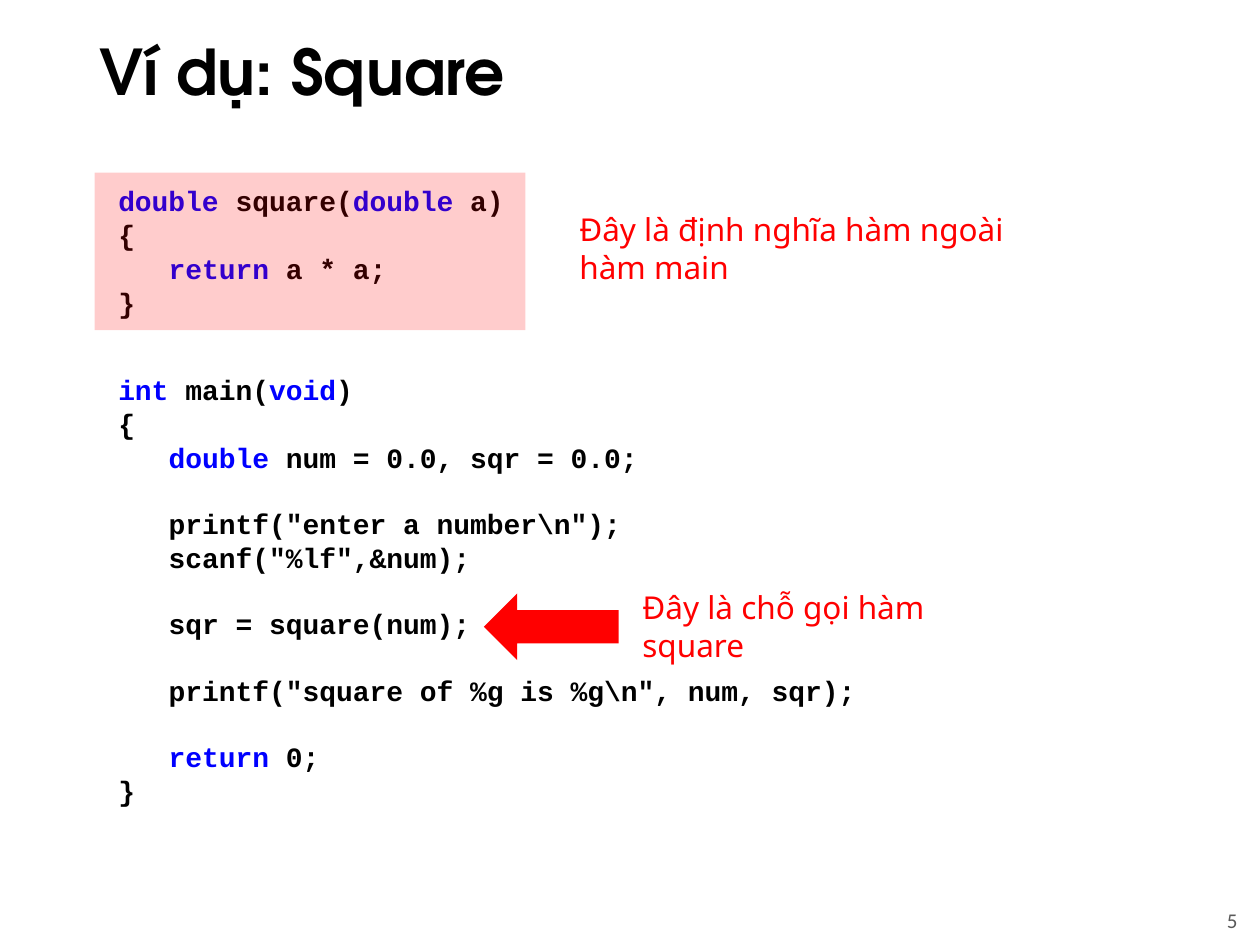
import dataclasses
import typing

import lxml.etree
import pptx
import pptx.dml.color
import pptx.enum.shapes
import pptx.enum.text
import pptx.oxml.ns
import pptx.util

Inches = pptx.util.Inches
Pt = pptx.util.Pt
Align = pptx.enum.text.PP_ALIGN
Anchor = pptx.enum.text.MSO_ANCHOR
Shape = pptx.enum.shapes.MSO_SHAPE

BLACK, BLUE, RED, GREY = "000000", "0000FF", "FF0000", "595959"
TITLE = {"name": "TeX Gyre Adventor", "size": Pt(36), "bold": True}
CODE = {"name": "Courier New", "size": Pt(16), "bold": True}
NOTE = {"name": "Noto Sans", "size": Pt(18)}
PAGE = {"name": "Calibri", "size": Pt(12)}
KEYS = {"int", "void", "double", "return"}
LEAD, SKIP = 4, 22.5  # points before a line, and after a skipped line


@dataclasses.dataclass
class Box:
    left: float
    top: float
    width: float
    height: float

    def place(self) -> list[int]:
        return [Inches(n) for n in (self.left, self.top, self.width, self.height)]


@dataclasses.dataclass
class Line:
    words: list[str]
    deep: bool = False
    skip: bool = False


def paint(item: typing.Any, color: str) -> None:
    """Give a shape or a font one solid colour."""
    fill = item.fill
    fill.solid()
    fill.fore_color.rgb = pptx.dml.color.RGBColor.from_string(color)


def style(item: typing.Any, looks: dict) -> None:
    for name, value in looks.items():
        setattr(item, name, value)


def add_run(para: typing.Any, text: str, looks: dict, color: str) -> None:
    run = para.add_run()
    run.text = text
    style(run.font, looks)
    paint(run.font, color)


def add_box(shapes: typing.Any, box: Box) -> typing.Any:
    frame = shapes.add_textbox(*box.place()).text_frame
    frame.word_wrap = True
    return frame


def add_text(shapes: typing.Any, box: Box, text: str, looks: dict, color: str) -> typing.Any:
    frame = add_box(shapes, box)
    add_run(frame.paragraphs[0], text, looks, color)
    return frame


def add_code(shapes: typing.Any, box: Box, lines: list[Line]) -> None:
    frame = add_box(shapes, box)
    for row, line in enumerate(lines):
        para = frame.add_paragraph() if row else frame.paragraphs[0]
        before = SKIP if line.skip else LEAD if row else 0
        style(para, {"line_spacing": 0.8, "space_before": Pt(before)})
        if line.deep:
            para._p.get_or_add_pPr().set("marL", str(Inches(0.4)))
        for word in line.words:
            add_run(para, word, CODE, BLUE if word.strip() in KEYS else BLACK)


def add_form(shapes: typing.Any, kind: Shape, box: Box, color: str) -> typing.Any:
    form = shapes.add_shape(kind, *box.place())
    form.shadow.inherit = False
    paint(form, color)
    form.line.fill.background()
    return form


deck = pptx.Presentation()
style(deck, {"slide_width": Inches(10), "slide_height": Inches(7.5)})
slide = deck.slides.add_slide(deck.slide_layouts[5])
shapes = slide.shapes

# Title
title = shapes.title
style(title, dict(zip(("left", "top", "width", "height"), Box(0.69, 0.16, 8.62, 0.87).place())))
style(title.text_frame, {"vertical_anchor": Anchor.MIDDLE, "word_wrap": True,
                         "auto_size": pptx.enum.text.MSO_AUTO_SIZE.NONE})
head = title.text_frame.paragraphs[0]
style(head, {"alignment": Align.LEFT, "line_spacing": 0.9})
add_run(head, "Ví dụ: Square", TITLE, BLACK)

# Page number
page = add_text(shapes, Box(8.67, 7.1, 1.25, 0.4), "5", PAGE, GREY)
page.vertical_anchor = Anchor.MIDDLE
page.paragraphs[0].alignment = Align.RIGHT

# Main program
add_code(shapes, Box(0.84, 2.96, 8.42, 3.54), [
    Line(["int", " main(", "void", ")"]),
    Line(["{"]),
    Line(["double", " num = 0.0, sqr = 0.0;"], deep=True),
    Line(['printf("enter a number\\n");'], deep=True, skip=True),
    Line(['scanf("%lf",&num);'], deep=True),
    Line(["sqr = square(num);"], deep=True, skip=True),
    Line(['printf("square of %g is %g\\n", num, sqr);'], deep=True, skip=True),
    Line(["return ", "0;"], deep=True, skip=True),
    Line(["}"]),
])

# Function definition under a tinted panel
add_text(shapes, Box(4.5, 1.62, 3.67, 0.71), "Đây là định nghĩa hàm ngoài hàm main", NOTE, RED)
add_code(shapes, Box(0.84, 1.46, 3.42, 1.12), [
    Line(["double", " square(", "double", " a)"]),
    Line(["{"]),
    Line(["return", " a * a;"], deep=True),
    Line(["}"]),
])
panel = add_form(shapes, Shape.RECTANGLE, Box(0.75, 1.37, 3.42, 1.25), RED)
tint = panel._element.spPr.find(".//" + pptx.oxml.ns.qn("a:srgbClr"))
lxml.etree.SubElement(tint, pptx.oxml.ns.qn("a:alpha")).set("val", "20000")

# Call note with its arrow
call = shapes.add_group_shape().shapes
add_text(call, Box(5, 4.62, 2.92, 0.71), "Đây là chỗ gọi hàm square", NOTE, RED)
add_form(call, Shape.LEFT_ARROW, Box(3.84, 4.71, 1.07, 0.53), RED)

deck.save("out.pptx")
